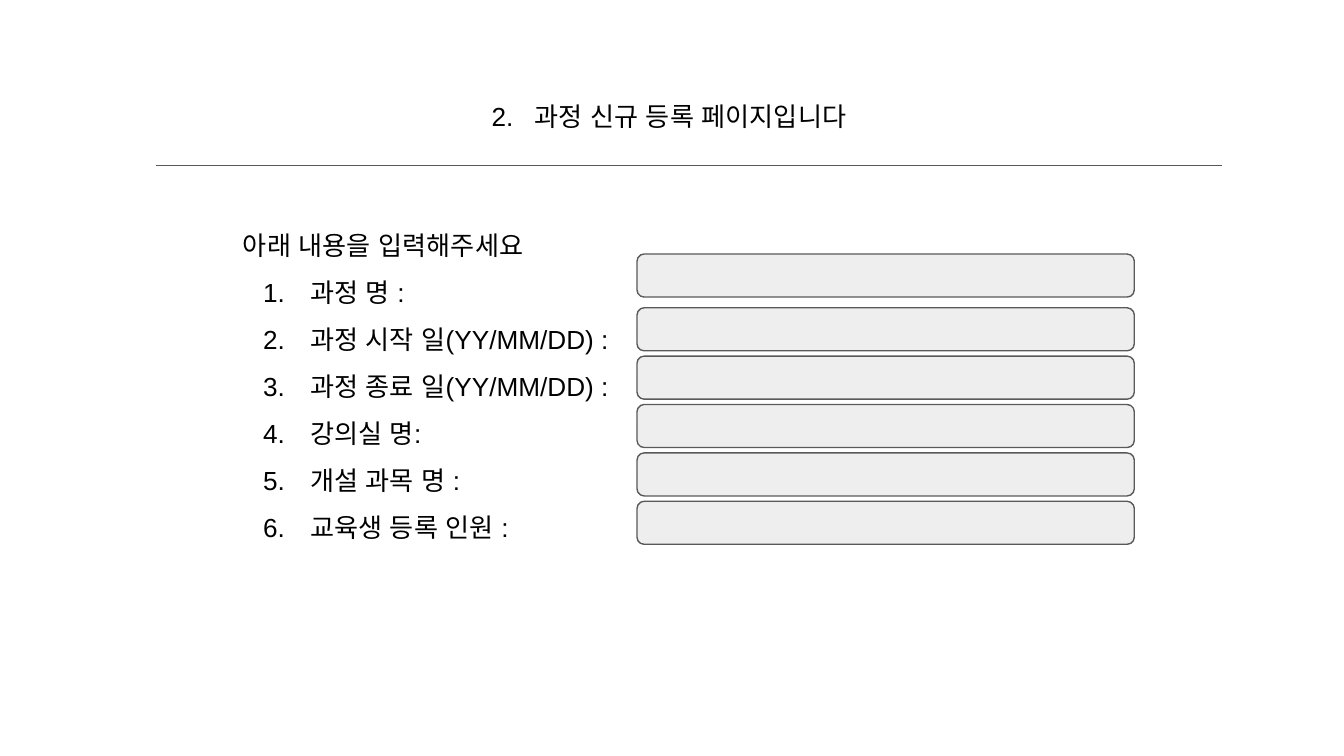
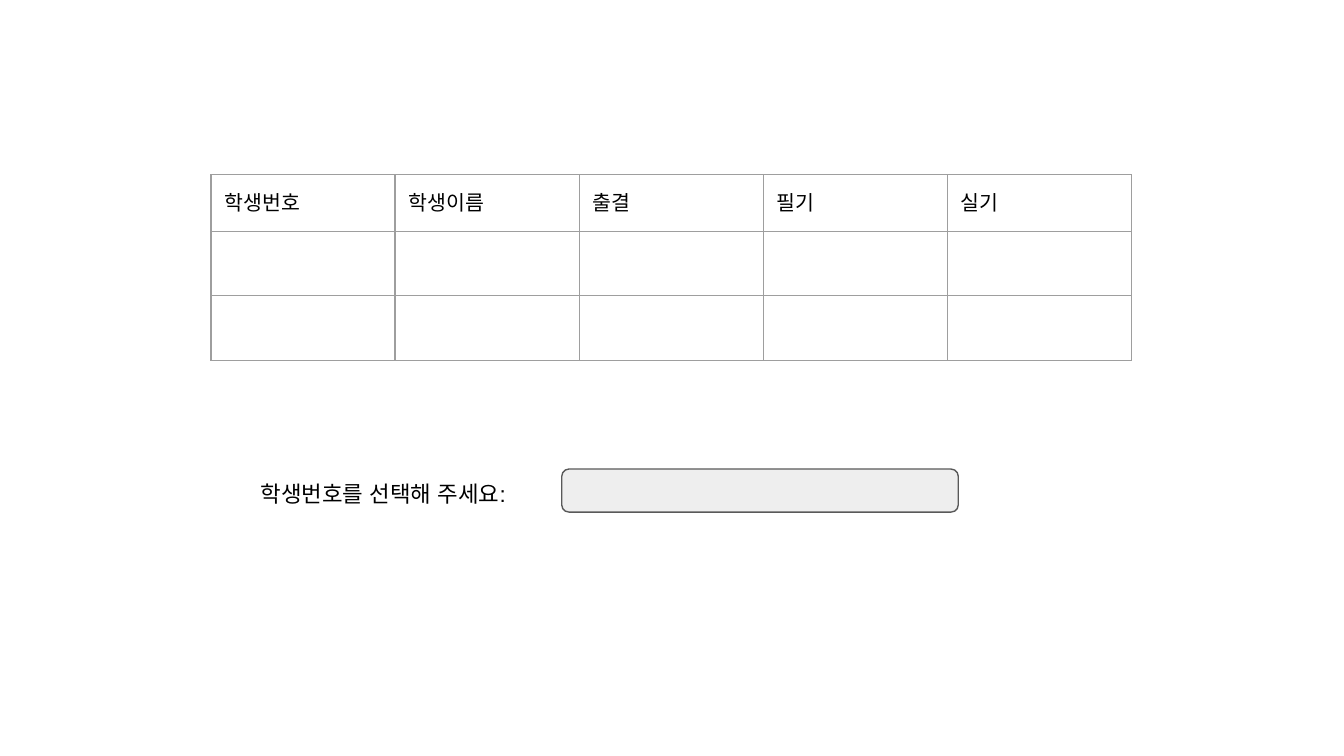
from dataclasses import dataclass

from lxml import etree
from pptx import Presentation
from pptx.dml.color import RGBColor
from pptx.enum.shapes import MSO_CONNECTOR, MSO_SHAPE
from pptx.enum.text import MSO_ANCHOR
from pptx.oxml.ns import qn
from pptx.util import Inches, Pt

ROUNDED = MSO_SHAPE.ROUNDED_RECTANGLE
STRAIGHT = MSO_CONNECTOR.STRAIGHT
MIDDLE, BOTTOM = MSO_ANCHOR.MIDDLE, MSO_ANCHOR.BOTTOM


@dataclass(frozen=True)
class Theme:
    font: str = "Arial"
    ink: str = "000000"
    outline: str = "595959"
    field: str = "EEEEEE"
    grid: str = "9E9E9E"
    form_size: float = 14
    prompt_size: float = 12
    table_size: float = 11
    line_width: float = 0.75


@dataclass(frozen=True)
class Box:
    left: float
    top: float
    width: float
    height: float

    def emu(self) -> tuple:
        return tuple(Inches(v) for v in (self.left, self.top, self.width, self.height))


THEME = Theme()
SLIDE_WIDTH = Inches(10)
SLIDE_HEIGHT = SLIDE_WIDTH * 9 // 16
INSET = Inches(0.1)
MARGINS = {
    "margin_left": INSET,
    "margin_right": INSET,
    "margin_top": INSET,
    "margin_bottom": INSET,
}
FRAME_FORMAT = {"word_wrap": True, **MARGINS}
CELL_FORMAT = {"vertical_anchor": MIDDLE, **MARGINS}

# Content and grid of the course form
FORM_LABELS = [
    "과정 명 :",
    "과정 시작 일(YY/MM/DD) :",
    "과정 종료 일(YY/MM/DD) :",
    "강의실 명:",
    "개설 과목 명 :",
    "교육생 등록 인원 :",
]
FIELD_HEIGHT = 0.32
FIRST_FIELD_TOP = 1.89
NEXT_FIELD_TOP = 2.29
FIELD_STEP = 0.36

# Content and grid of the student table
STUDENT_HEADERS = ["학생번호", "학생이름", "출결", "필기", "실기"]
COLUMN_WIDTH = 1.37
ROW_HEIGHTS = [0.42, 0.48, 0.48]


def add_color(parent, color: str) -> None:
    etree.SubElement(parent, qn("a:srgbClr"), val=color)


def write(paragraph, text: str, size: float) -> None:
    run = paragraph.add_run()
    run.text = text
    for name, value in {"name": THEME.font, "size": Pt(size)}.items():
        setattr(run.font, name, value)
    run.font.color.rgb = RGBColor.from_string(THEME.ink)
    etree.SubElement(run.font._element, qn("a:ea"), typeface=THEME.font)


def add_text_frame(slide, box: Box, **changes):
    frame = slide.shapes.add_textbox(*box.emu()).text_frame
    for name, value in {**FRAME_FORMAT, **changes}.items():
        setattr(frame, name, value)
    return frame


def number_paragraph(paragraph) -> None:
    props = paragraph._p.get_or_add_pPr()
    props.set("marL", str(Inches(0.5)))
    props.set("indent", str(Inches(-0.35)))
    add_color(etree.SubElement(props, qn("a:buClr")), THEME.ink)
    etree.SubElement(props, qn("a:buAutoNum"), type="arabicPeriod")


def add_tab_stop(paragraph, position: float) -> None:
    tabs = etree.SubElement(paragraph._p.get_or_add_pPr(), qn("a:tabLst"))
    etree.SubElement(tabs, qn("a:tab"), pos=str(Inches(position)), algn="l")


def style_line(line) -> None:
    line.color.rgb = RGBColor.from_string(THEME.outline)
    line.width = Pt(THEME.line_width)


def add_field(slide, box: Box) -> None:
    field = slide.shapes.add_shape(ROUNDED, *box.emu())
    field.shadow.inherit = False
    field.adjustments[0] = 0.167
    field.fill.solid()
    field.fill.fore_color.rgb = RGBColor.from_string(THEME.field)
    style_line(field.line)


def add_rule(slide, left: float, right: float, top: float) -> None:
    rule = slide.shapes.add_connector(
        STRAIGHT, Inches(left), Inches(top), Inches(right), Inches(top)
    )
    style_line(rule.line)
    etree.SubElement(rule._element.spPr, qn("a:effectLst"))


def style_cell(cell) -> None:
    props = cell._tc.get_or_add_tcPr()
    for side in ("a:lnL", "a:lnR", "a:lnT", "a:lnB"):
        border = etree.SubElement(props, qn(side), w=str(Pt(THEME.line_width)))
        add_color(etree.SubElement(border, qn("a:solidFill")), THEME.grid)
    cell.fill.background()
    for name, value in CELL_FORMAT.items():
        setattr(cell, name, value)


def size_empty_cell(cell) -> None:
    paragraph = cell.text_frame.paragraphs[0]._p
    etree.SubElement(paragraph, qn("a:endParaRPr"), sz=str(THEME.table_size * 100))


def build_course_form(slide) -> None:
    # Title and rule
    title = add_text_frame(slide, Box(3.56, 0.65, 4.1, 0.7)).paragraphs[0]
    add_tab_stop(title, 0.32)
    write(title, "2.\t과정 신규 등록 페이지입니다", THEME.form_size)
    add_rule(slide, 1.16, 9.09, 1.23)

    # Instruction and numbered labels
    form = add_text_frame(slide, Box(1.71, 1.49, 6.5, 2.91))
    instruction = form.paragraphs[0]
    instruction.line_spacing = 1.5
    write(instruction, "아래 내용을 입력해주세요", THEME.form_size)
    for label in FORM_LABELS:
        paragraph = form.add_paragraph()
        paragraph.line_spacing = 1.5
        number_paragraph(paragraph)
        write(paragraph, label, THEME.form_size)

    # Input fields
    following = [NEXT_FIELD_TOP + FIELD_STEP * i for i in range(len(FORM_LABELS) - 1)]
    for top in [FIRST_FIELD_TOP, *following]:
        add_field(slide, Box(4.74, top, 3.7, FIELD_HEIGHT))


def build_student_scores(slide) -> None:
    # Student table
    area = Box(1.57, 1.3, COLUMN_WIDTH * len(STUDENT_HEADERS), sum(ROW_HEIGHTS))
    students = slide.shapes.add_table(
        len(ROW_HEIGHTS), len(STUDENT_HEADERS), *area.emu()
    ).table
    students.first_row = students.horz_banding = False
    for column in students.columns:
        column.width = Inches(COLUMN_WIDTH)
    for row, height in zip(students.rows, ROW_HEIGHTS):
        row.height = Inches(height)
    for cell in students.iter_cells():
        style_cell(cell)
    for column, header in enumerate(STUDENT_HEADERS):
        write(students.cell(0, column).text_frame.paragraphs[0], header, THEME.table_size)
        for row in range(1, len(ROW_HEIGHTS)):
            size_empty_cell(students.cell(row, column))

    # Student number prompt
    prompt = add_text_frame(
        slide,
        Box(1.84, 3.07, 6.33, 0.74),
        vertical_anchor=BOTTOM,
        margin_bottom=Inches(0.04),
    )
    write(prompt.paragraphs[0], "학생번호를 선택해 주세요:", THEME.prompt_size)
    add_field(slide, Box(4.18, 3.49, 2.95, FIELD_HEIGHT))


def main() -> None:
    deck = Presentation()
    deck.slide_width, deck.slide_height = SLIDE_WIDTH, SLIDE_HEIGHT
    blank = deck.slide_layouts[6]
    for build in (build_course_form, build_student_scores):
        build(deck.slides.add_slide(blank))
    deck.save("out.pptx")


if __name__ == "__main__":
    main()
